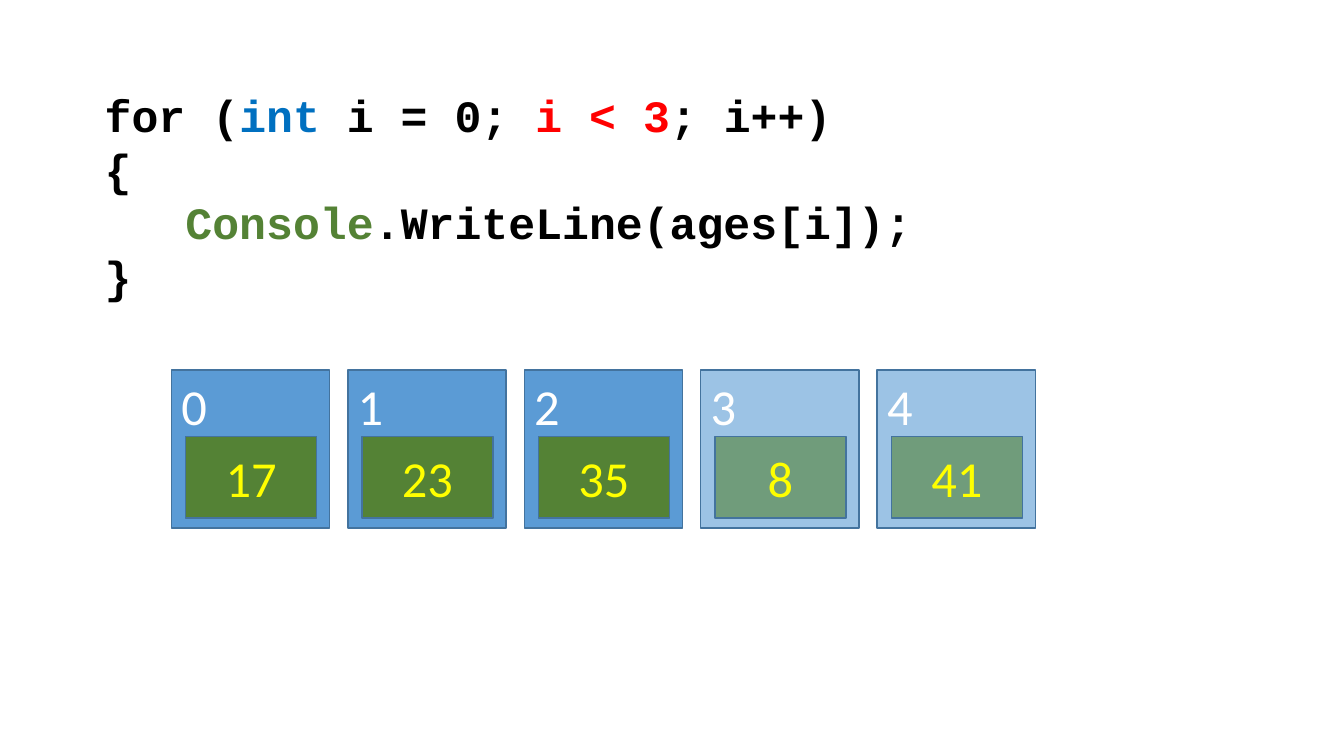
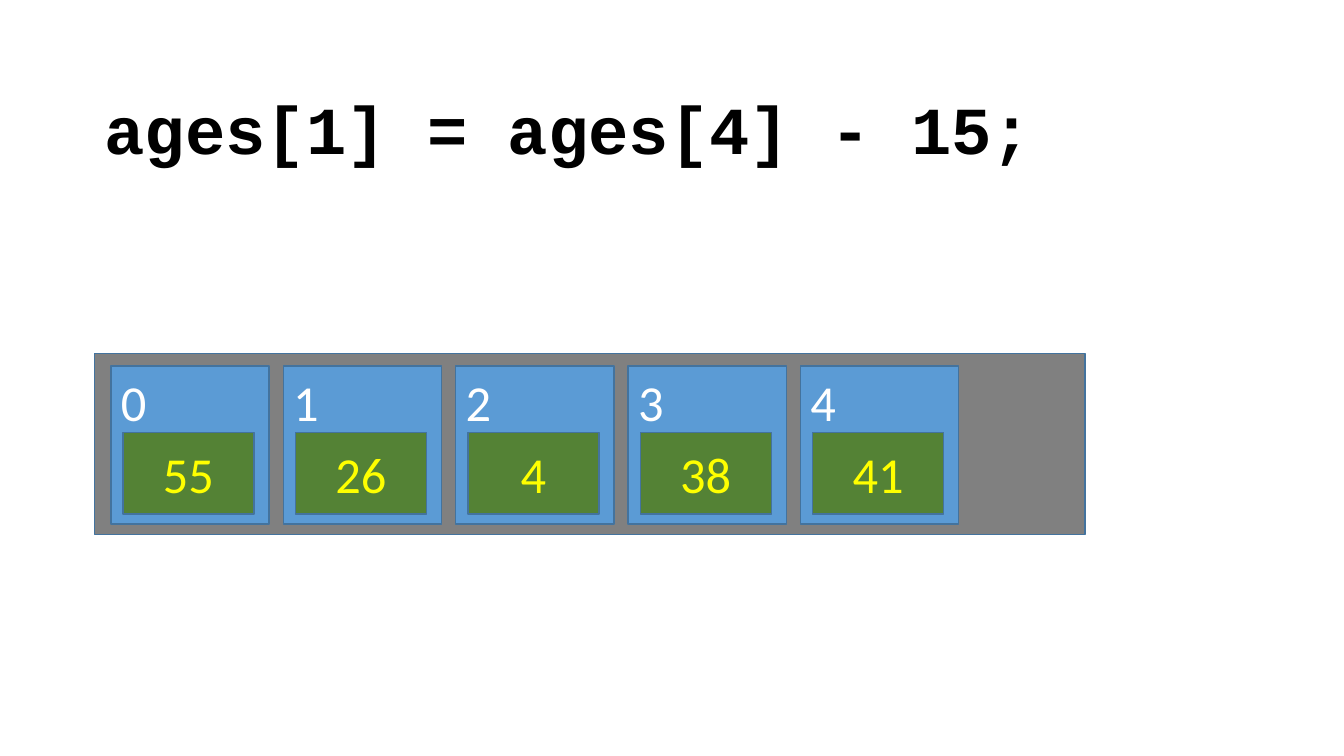
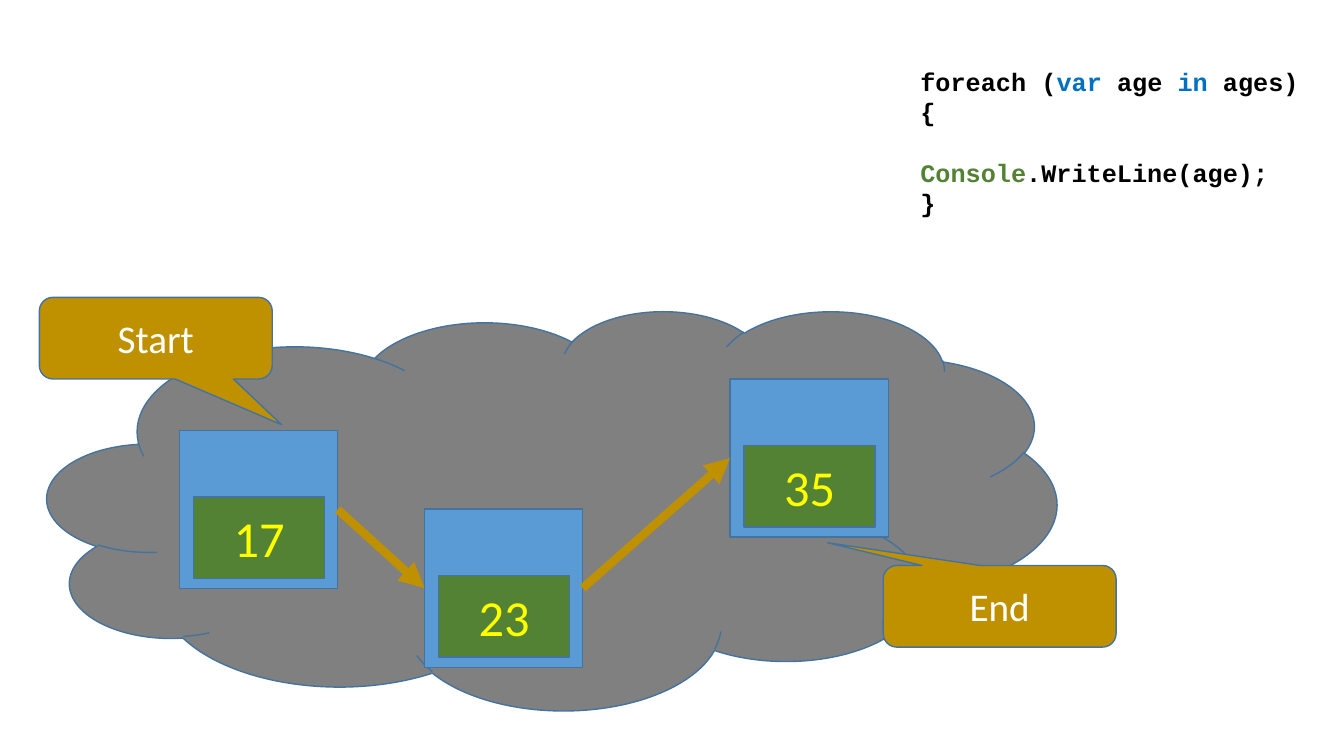
"""Builds three slides that show how arrays are indexed, changed and iterated."""
from lxml.etree import SubElement
from pptx import Presentation
from pptx.dml.color import RGBColor
from pptx.enum.shapes import MSO_CONNECTOR, MSO_SHAPE as SHAPE
from pptx.enum.text import MSO_ANCHOR as ANCHOR, MSO_AUTO_SIZE, PP_ALIGN as ALIGN
from pptx.oxml.ns import qn
from pptx.util import Inches, Pt

COLORS = {
    "text": "000000", "light": "FFFFFF", "keyword": "0070C0", "type": "548235",
    "alert": "FF0000", "cell": "5B9BD5", "value": "548235", "number": "FFFF00",
    "memory": "808080", "outline": "43739E", "accent": "BF9000",
}
CODE_FONT, LABEL_FONT = "Courier New", "Calibri"
CELL_SIZE = 1.57
VALUE_W, VALUE_H, VALUE_DROP = 1.3, 0.81, 0.66
CALLOUT_W, CALLOUT_H = 2.31, 0.81


def rgb(name):
    return RGBColor.from_string(COLORS[name])


def add_code(slide, x, y, w, h, size, lines):
    tf = slide.shapes.add_textbox(Inches(x), Inches(y), Inches(w), Inches(h)).text_frame
    tf.word_wrap = True
    tf.auto_size = MSO_AUTO_SIZE.SHAPE_TO_FIT_TEXT
    for i, line in enumerate(lines):
        p = tf.paragraphs[0] if i == 0 else tf.add_paragraph()
        p.font.name, p.font.size, p.font.bold = CODE_FONT, Pt(size), True
        for text, color in line:
            r = p.add_run()
            r.text = text
            r.font.color.rgb = rgb(color)


def add_block(slide, kind, x, y, w, h, fill, alpha=100):
    sp = slide.shapes.add_shape(kind, Inches(x), Inches(y), Inches(w), Inches(h))
    sp.shadow.inherit = False
    sp.fill.solid()
    sp.fill.fore_color.rgb = rgb(fill)
    sp.line.color.rgb = rgb("outline")
    sp.line.width = Pt(1)
    if alpha < 100:
        color = sp._element.spPr.find(qn("a:solidFill"))[0]
        SubElement(color, qn("a:alpha"), val=str(alpha * 1000))
    return sp


def set_label(sp, text, size, color, align=ALIGN.CENTER, anchor=ANCHOR.MIDDLE):
    tf = sp.text_frame
    tf.vertical_anchor = anchor
    p = tf.paragraphs[0]
    p.text = text
    p.alignment = align
    p.font.name, p.font.size = LABEL_FONT, Pt(size)
    p.font.color.rgb = rgb(color)


def add_cell(slide, x, y, value, index=None, inset=0.14, alpha=100):
    cell = add_block(slide, SHAPE.RECTANGLE, x, y, CELL_SIZE, CELL_SIZE, "cell", alpha)
    if index is not None:
        set_label(cell, str(index), 36, "light", ALIGN.LEFT, ANCHOR.TOP)
    box = add_block(slide, SHAPE.RECTANGLE, x + inset, y + VALUE_DROP,
                    VALUE_W, VALUE_H, "value", alpha)
    set_label(box, str(value), 36, "number")
    return cell


def add_array(slide, x, y, pitch, values, inset=0.14, visited=5):
    for i, value in enumerate(values):
        add_cell(slide, x + i * pitch, y, value, i, inset, 100 if i < visited else 60)


def add_callout(slide, x, y, text, tip):
    sp = add_block(slide, SHAPE.ROUNDED_RECTANGULAR_CALLOUT, x, y,
                   CALLOUT_W, CALLOUT_H, "accent")
    sp.adjustments[0], sp.adjustments[1] = tip
    set_label(sp, text, 28, "light")


def add_arrow(slide, start, end):
    cx = slide.shapes.add_connector(MSO_CONNECTOR.STRAIGHT, 0, 0, 0, 0)
    cx.begin_connect(start, 3)
    cx.end_connect(end, 1)
    cx.line.color.rgb = rgb("accent")
    cx.line.width = Pt(6)
    SubElement(cx.line._get_or_add_ln(), qn("a:tailEnd"), type="triangle")
    SubElement(cx._element.spPr, qn("a:effectLst"))


def build_for_loop(slide):
    add_code(slide, 0.94, 0.82, 10.07, 2.26, 32, [
        [("for (", "text"), ("int", "keyword"), (" i = 0; ", "text"),
         ("i < 3", "alert"), ("; i++)", "text")],
        [("{", "text")],
        [("   ", "text"), ("Console", "type"), (".WriteLine(ages[i]);", "text")],
        [("}", "text")],
    ])
    add_array(slide, 1.7, 3.67, 1.75, [17, 23, 35, 8, 41], visited=3)


def build_assignment(slide):
    add_block(slide, SHAPE.RECTANGLE, 0.94, 3.51, 9.82, 1.79, "memory")
    add_code(slide, 0.94, 0.82, 10.07, 0.91, 48, [[("ages[1] = ages[4] - 15;", "text")]])
    add_array(slide, 1.1, 3.63, 1.71, [55, 26, 4, 38, 41], inset=0.12)


def build_foreach(slide):
    add_block(slide, SHAPE.CLOUD, 0.47, 3.08, 10.01, 3.96, "memory")
    add_code(slide, 9.03, 0.61, 4.01, 1.31, 18, [
        [("foreach (", "text"), ("var", "keyword"), (" age ", "text"),
         ("in", "keyword"), (" ages)", "text")],
        [("{", "text")],
        [("   ", "text"), ("Console", "type"), (".WriteLine(age);", "text")],
        [("}", "text")],
    ])
    nodes = [(1.78, 4.27, 17), (4.21, 5.05, 23), (7.24, 3.76, 35)]
    cells = [add_cell(slide, x, y, value) for x, y, value in nodes]
    add_callout(slide, 0.39, 2.95, "Start", (0.54, 1.06))
    add_callout(slide, 8.76, 5.61, "End", (-0.74, -0.78))
    for start, end in zip(cells, cells[1:]):
        add_arrow(slide, start, end)


def main():
    prs = Presentation()
    prs.slide_width, prs.slide_height = Inches(13.33), Inches(7.5)
    for build in (build_for_loop, build_assignment, build_foreach):
        build(prs.slides.add_slide(prs.slide_layouts[6]))
    prs.save("out.pptx")


if __name__ == "__main__":
    main()
